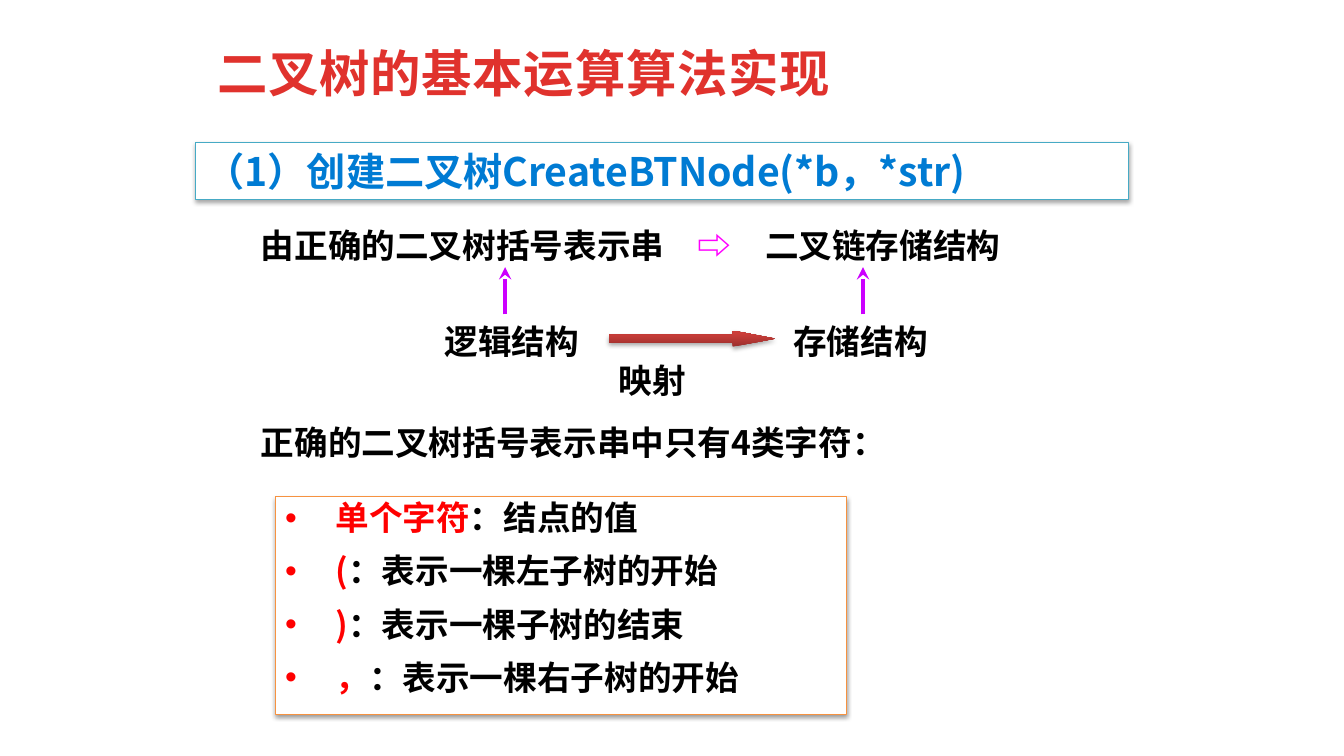
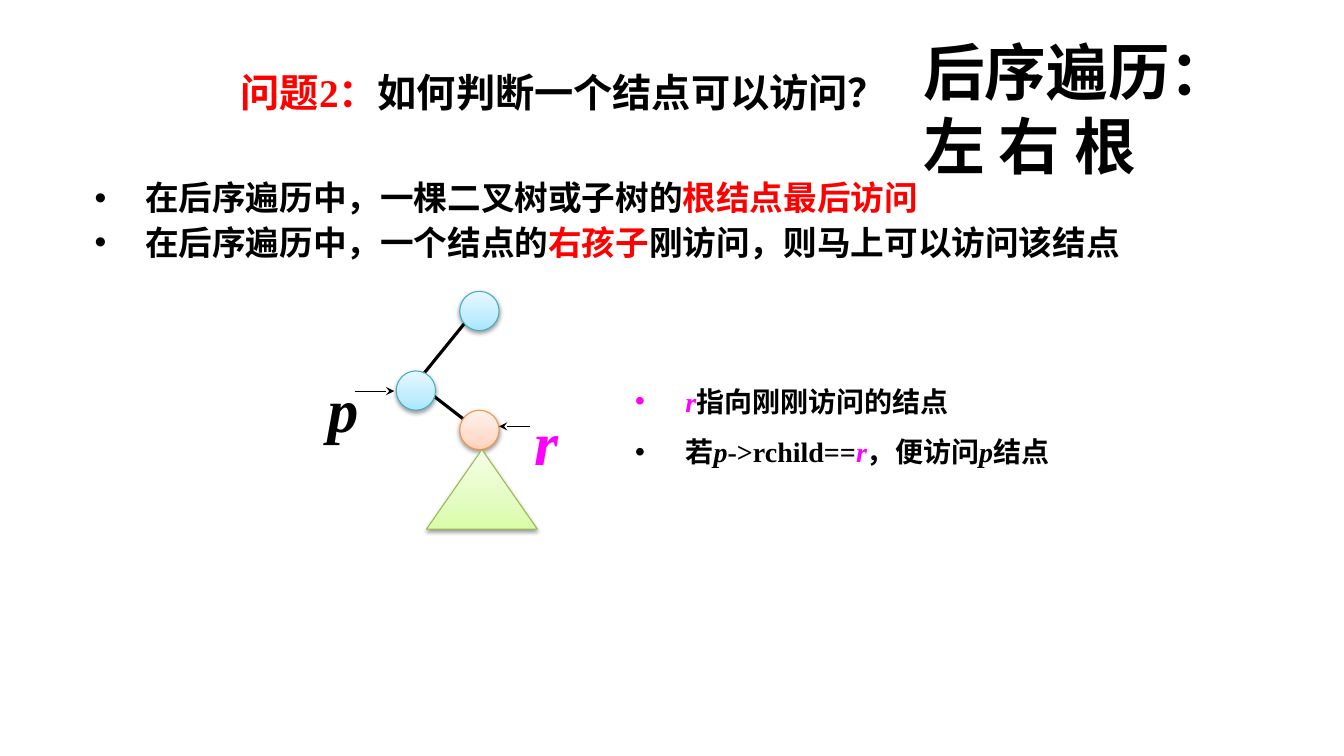
from lxml import etree
from pptx import Presentation
from pptx.dml.color import RGBColor
from pptx.enum.shapes import MSO_CONNECTOR, MSO_SHAPE
from pptx.enum.text import MSO_ANCHOR
from pptx.oxml.ns import qn
from pptx.util import Inches, Pt

RECT = MSO_SHAPE.RECTANGLE
OVAL = MSO_SHAPE.OVAL
TRIANGLE = MSO_SHAPE.ISOSCELES_TRIANGLE
RIGHT_ARROW = MSO_SHAPE.RIGHT_ARROW
STRAIGHT = MSO_CONNECTOR.STRAIGHT
TOP, MIDDLE = MSO_ANCHOR.TOP, MSO_ANCHOR.MIDDLE

SANS, SERIF = "Noto Sans CJK SC", "Times New Roman"
BLACK, WHITE, RED, MAGENTA = "000000", "FFFFFF", "FF0000", "FF00FF"
TITLE_RED, HEADING_BLUE, VIOLET = "E0322D", "007BD3", "CC00FF"
TEAL, ORANGE, GREEN = "46AAC5", "F69240", "98B955"

# Gradients run from bottom to top: (position in percent, colour)
BLUE_FADE = [(0, "A7E6FF"), (35, "C1EDFF"), (100, "E7F8FF")]
ORANGE_FADE = [(0, "FFD2BD"), (35, "FFDED0"), (100, "FFF2ED")]
GREEN_FADE = [(0, "DAFDA7"), (35, "E4FCC2"), (100, "F5FFE7")]
RED_FADE = [(0, "9C2F2D"), (80, "CB3E3A"), (100, "CE3B37")]

NODE = 0.39


def rgb(hex_color):
    return RGBColor.from_string(hex_color)


def add_xml(parent, tag, **attrs):
    return etree.SubElement(parent, qn(tag), attrs)


def add_color_xml(parent, hex_color):
    return add_xml(parent, "a:srgbClr", val=hex_color)


def set_gradient(shape, stops):
    shape.fill.gradient()
    shape.fill.gradient_angle = 90
    stop_list = shape.fill._fill._gradFill.find(qn("a:gsLst"))
    for old in list(stop_list):
        stop_list.remove(old)
    for percent, color in stops:
        add_color_xml(add_xml(stop_list, "a:gs", pos=str(percent * 1000)), color)


def set_soft_shadow(shape, alpha):
    """Give the shape a small blurred shadow straight below it."""
    shape.shadow.inherit = False
    effects = shape._element.spPr.find(qn("a:effectLst"))
    shadow = add_xml(effects, "a:outerShdw", blurRad="40000", dist="22000",
                     dir="5400000", rotWithShape="0")
    add_xml(add_color_xml(shadow, BLACK), "a:alpha", val=str(alpha * 1000))


def add_shape(s, kind, box, fill, line=None, alpha=38):
    """Add a shadowed shape; fill is a colour or a list of gradient stops."""
    sp = s.shapes.add_shape(kind, *map(Inches, box))
    if isinstance(fill, str):
        sp.fill.solid()
        sp.fill.fore_color.rgb = rgb(fill)
    else:
        set_gradient(sp, fill)
    if line:
        sp.line.color.rgb = rgb(line)
        sp.line.width = Pt(0.75)
    else:
        sp.line.fill.background()
    set_soft_shadow(sp, alpha)
    return sp


def add_line(s, start, end, color, width, arrow=False):
    line = s.shapes.add_connector(STRAIGHT, *map(Inches, start + end))
    line.line.color.rgb = rgb(color)
    line.line.width = Pt(width)
    if arrow:
        add_xml(line.line._get_or_add_ln(), "a:tailEnd", type="stealth")
    add_xml(line._element.spPr, "a:effectLst")


def set_bullet(p):
    pPr = p._p.get_or_add_pPr()
    pPr.set("marL", str(Inches(0.5)))
    pPr.set("indent", str(Inches(-0.5)))
    add_xml(pPr, "a:buFont", typeface="Arial")
    add_xml(pPr, "a:buChar", char="•")


def add_run(p, size, font, text, color=BLACK, italic=False):
    r = p.add_run()
    r.text = text
    r.font.size = Pt(size)
    r.font.name = font
    r.font.bold = True
    r.font.italic = italic
    r.font.color.rgb = rgb(color)
    return r


def write(sp, paragraphs, size, font=SANS, anchor=MIDDLE, bullets=False,
          spacing=None, before=0):
    """Fill a shape; each paragraph is a list of (text, colour, italic) runs."""
    tf = sp.text_frame
    tf.word_wrap = True
    tf.vertical_anchor = anchor
    for i, runs in enumerate(paragraphs):
        p = tf.add_paragraph() if i else tf.paragraphs[0]
        p.alignment = 1
        if spacing:
            p.line_spacing = spacing
        if i and before:
            p.space_before = Pt(before)
        if bullets:
            set_bullet(p)
        for run in runs:
            add_run(p, size, font, *run)


def add_text(s, box, paragraphs, size, **style):
    tb = s.shapes.add_textbox(*map(Inches, box))
    write(tb, paragraphs, size, **style)
    return tb


def build_creation(prs):
    s = prs.slides.add_slide(prs.slide_layouts[6])
    heading = add_shape(s, RECT, (1.94, 1.41, 9.25, 0.57), WHITE, TEAL, 35)
    write(heading, [[("（1）创建二叉树CreateBTNode(*b，*str)", HEADING_BLUE)]], 28)

    title = add_text(s, (2.06, 0.36, 8.1, 0.71),
                     [[("二叉树的基本运算算法实现", TITLE_RED)]], 36)
    for r in title.text_frame.paragraphs[0].runs:
        r._r.get_or_add_rPr().set("spc", "50")

    add_text(s, (2.49, 2.18, 8.27, 0.5),
             [[("由正确的二叉树括号表示串　",), ("⇨", MAGENTA),
               ("　二叉链存储结构",)]], 24)
    for x in (5.01, 8.56):
        add_line(s, (x, 3.12), (x, 2.65), VIOLET, 3, arrow=True)
    for x, y, width, label in ((4.31, 3.13, 1.81, "逻辑结构"),
                               (7.77, 3.13, 1.81, "存储结构"),
                               (6.04, 3.52, 1.5, "映射"),
                               (2.49, 4.14, 6.8, "正确的二叉树括号表示串中只有4类字符：")):
        add_text(s, (x, y, width, 0.5), [[(label,)]], 24)
    arrow = add_shape(s, RIGHT_ARROW, (6.04, 3.28, 1.65, 0.16), RED_FADE, alpha=35)
    arrow.adjustments[0], arrow.adjustments[1] = 0.5, 2.65

    meanings = (("单个字符", "结点的值"), ("(", "表示一棵左子树的开始"),
                (")", "表示一棵子树的结束"), ("，", "表示一棵右子树的开始"))
    panel = add_shape(s, RECT, (2.73, 4.93, 5.67, 2.16), WHITE, ORANGE)
    write(panel, [[(mark, RED), ("：" + meaning,)] for mark, meaning in meanings],
          24, anchor=TOP, bullets=True, spacing=0.9, before=12)


def build_tree(s):
    add_line(s, (4.63, 3.18), (4.16, 3.76), BLACK, 2.25)
    add_line(s, (4.29, 3.92), (4.6, 4.16), BLACK, 2.25)
    for x, y, fill, line in ((4.56, 2.89, BLUE_FADE, TEAL),
                             (3.93, 3.68, BLUE_FADE, TEAL),
                             (4.56, 4.07, ORANGE_FADE, ORANGE)):
        add_shape(s, OVAL, (x, y, NODE, NODE), fill, line)
    add_line(s, (3.52, 3.88), (3.91, 3.88), BLACK, 0.75, arrow=True)
    add_line(s, (5.26, 4.23), (4.95, 4.23), BLACK, 0.75, arrow=True)
    add_shape(s, TRIANGLE, (4.23, 4.46, 1.1, 0.79), GREEN_FADE, GREEN)
    for x, y, width, name, color in ((5.2, 3.95, 0.47, "r", MAGENTA),
                                     (3.15, 3.63, 0.55, "p", BLACK)):
        add_text(s, (x, y, width, 0.84), [[(name, color, True)]], 44, font=SERIF)


def build_postorder(prs):
    s = prs.slides.add_slide(prs.slide_layouts[6])
    add_text(s, (0.84, 1.66, 11.83, 1),
             [[("在后序遍历中，一棵二叉树或子树的",), ("根结点最后访问", RED)],
              [("在后序遍历中，一个结点的",), ("右孩子", RED),
               ("刚访问，则马上可以访问该结点",)]],
             24, font=SERIF, bullets=True, spacing=Pt(32))
    add_text(s, (9.06, 0.28, 3.8, 1.58), [[("后序遍历：左 右 根",)]], 44)
    build_tree(s)
    add_text(s, (6.2, 3.59, 4.61, 1.11),
             [[("r", MAGENTA, True), ("指向刚刚访问的结点",)],
              [("若",), ("p", BLACK, True), ("->rchild==",), ("r", MAGENTA, True),
               ("，便访问",), ("p", BLACK, True), ("结点",)]],
             20, font=SERIF, bullets=True, spacing=1.5)
    add_text(s, (2.29, 0.39, 6.25, 1.04),
             [[("问题2：", RED), ("如何判断一个结点可以访问？",)]], 28, font=SERIF)


def main():
    prs = Presentation()
    prs.slide_width, prs.slide_height = Inches(13.33), Inches(7.5)
    build_creation(prs)
    build_postorder(prs)
    prs.save("out.pptx")


if __name__ == "__main__":
    main()
